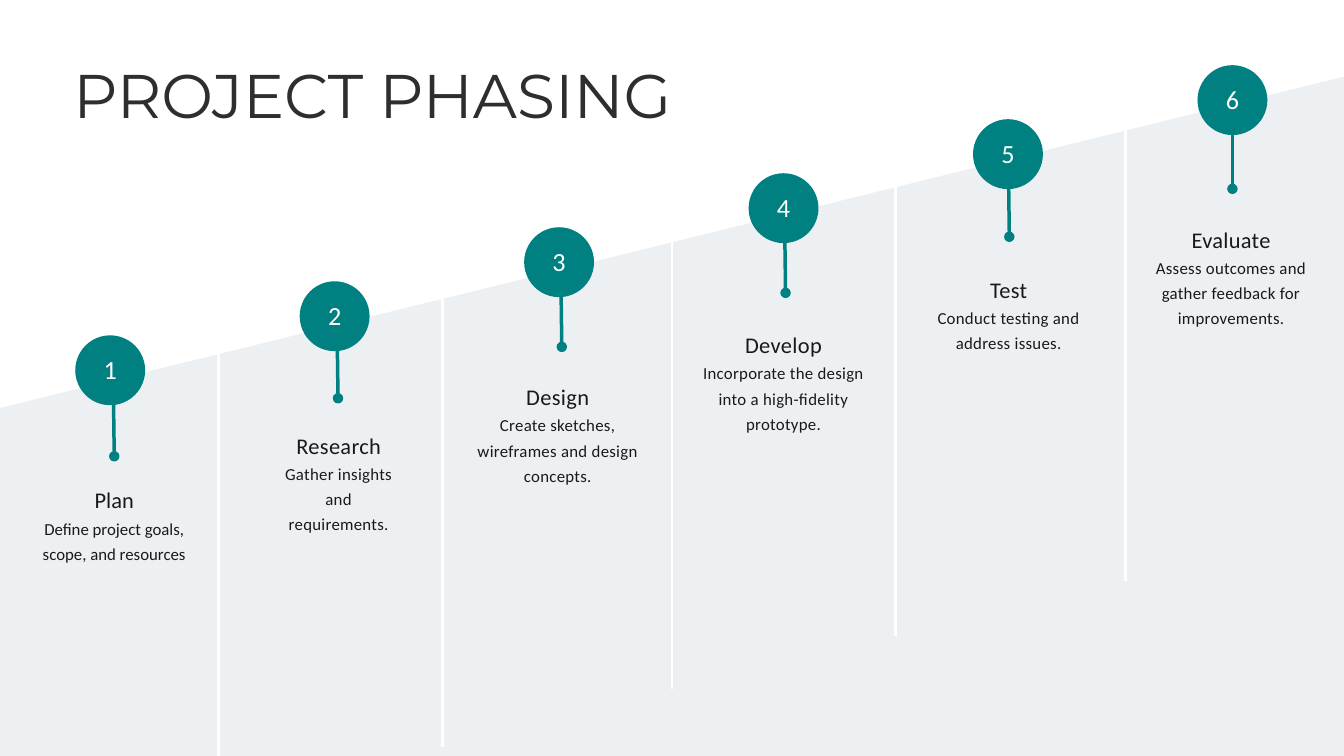
from dataclasses import dataclass

from lxml import etree
from pptx import Presentation
from pptx.dml.color import RGBColor
from pptx.enum import shapes, text
from pptx.oxml import ns
from pptx.util import Inches, Pt


@dataclass(frozen=True)
class Theme:
    """Colours, fonts and type sizes of the deck."""
    panel: str = "EDF0F2"
    white: str = "FFFFFF"
    accent: str = "008080"
    title_ink: str = "2E2E2E"
    ink: str = "191919"
    title_font: str = "Montserrat"
    body_font: str = "Calibri"
    title_size: float = 66
    number_size: float = 28
    heading_size: float = 24
    body_size: float = 18


@dataclass(frozen=True)
class Box:
    """A rectangle in inches."""
    left: float
    top: float
    width: float
    height: float

    def lengths(self):
        """Return the four sides as slide lengths."""
        return [Inches(side) for side in (self.left, self.top, self.width, self.height)]


@dataclass(frozen=True)
class Phase:
    """Wording of a phase and its offsets from the phase badge."""
    name: str
    detail: str
    lines: int
    width: float
    shift: float
    drop: float
    stem_top: float
    stem_length: float
    heading_spacing: float
    detail_spacing: float


THEME = Theme()
SLIDE = Box(0, 0, 20, 11.25)
BADGE = 1.04
COLUMN_STEP = 3.34
RISE = 0.804
PHASES = [
    Phase("Plan", "Define project goals, scope, and resources",
          2, 2.9, 0.06, 2.1, 1.02, 0.78, 0, 0),
    Phase("Research", "Gather insights and requirements.",
          3, 1.82, 0.06, 2.09, 0.96, 0.78, 0.4, 0.3),
    Phase("Design", "Create sketches, wireframes and design concepts.",
          3, 2.87, -0.02, 2.17, 1.01, 0.77, 0.4, 0.3),
    Phase("Develop", "Incorporate the design into a high-fidelity prototype.",
          3, 2.7, 0, 2.2, 1.01, 0.77, 0.4, 0.3),
    Phase("Test", "Conduct testing and address issues.",
          2, 2.5, 0.01, 2.18, 0.97, 0.78, 0.3, 0.3),
    Phase("Evaluate", "Assess outcomes and gather feedback for improvements.",
          3, 2.94, -0.02, 2.24, 1.03, 0.81, 0.3, 0.3),
]
DIVIDERS = [(3.25, 4.98), (6.58, 4.39), (10, 3.52), (13.33, 2.74), (16.75, 1.91)]
DIVIDER_LENGTH = 6.73


def paint(shape, color):
    """Give a shape a flat fill with no outline or shadow."""
    shape.fill.solid()
    shape.fill.fore_color.rgb = RGBColor.from_string(color)
    shape.line.fill.background()
    shape.shadow.inherit = False


def write(para, words, *, size, color, leading, font=THEME.body_font,
          align=text.PP_ALIGN.CENTER):
    """Put one formatted run into a paragraph."""
    para.alignment = align
    para.line_spacing = Pt(leading)
    span = para.add_run()
    span.text = words
    span.font.size = Pt(size)
    span.font.name = font
    span.font.color.rgb = RGBColor.from_string(color)


def clear_margins(frame):
    """Remove the inner margins of a text frame."""
    frame.margin_left = frame.margin_top = frame.margin_right = frame.margin_bottom = 0


def add_line(page, start, end, color, weight, tail=None):
    """Draw a straight line, with an optional end mark."""
    line = page.shapes.add_connector(
        shapes.MSO_CONNECTOR.STRAIGHT, *[Inches(value) for value in (*start, *end)])
    line.line.color.rgb = RGBColor.from_string(color)
    line.line.width = Pt(weight)
    properties = line.element.find(ns.qn("p:spPr"))
    if tail:
        outline = properties.find(ns.qn("a:ln"))
        etree.SubElement(outline, ns.qn("a:tailEnd"), type=tail)
    etree.SubElement(properties, ns.qn("a:effectLst"))


def add_panel(page, box, columns):
    """Fill the box with a borderless table of equal columns."""
    frame = page.shapes.add_table(1, columns, *box.lengths())
    table = frame.table
    table.first_row = table.horz_banding = False
    table.rows[0].height = Inches(box.height)
    for column in table.columns:
        column.width = Inches(box.width / columns)
    for cell in table.iter_cells():
        cell.fill.solid()
        cell.fill.fore_color.rgb = RGBColor.from_string(THEME.panel)
    for properties in frame.element.iter(ns.qn("a:tcPr")):
        for index, side in enumerate(("lnL", "lnR", "lnT", "lnB")):
            border = etree.Element(ns.qn(f"a:{side}"), w="0")
            etree.SubElement(border, ns.qn("a:noFill"))
            properties.insert(index, border)


def add_slope(page, box, left_depth, right_depth):
    """Cover the top of the box with a white sloping wedge."""
    right = box.left + box.width
    corners = [(box.left, box.top), (right, box.top),
               (right, box.top + right_depth), (box.left, box.top + left_depth)]
    points = [(Inches(x), Inches(y)) for x, y in corners]
    builder = page.shapes.build_freeform(*points[0])
    builder.add_line_segments(points[1:], close=True)
    paint(builder.convert_to_shape(), THEME.white)


def add_title(page, box, words):
    """Place the title placeholder in the box, in front of the background."""
    title = page.shapes.title
    title.left, title.top, title.width, title.height = box.lengths()
    title.element.getparent().append(title.element)
    frame = title.text_frame
    clear_margins(frame)
    frame.word_wrap = True
    frame.vertical_anchor = text.MSO_ANCHOR.TOP
    frame.auto_size = text.MSO_AUTO_SIZE.SHAPE_TO_FIT_TEXT
    write(frame.paragraphs[0], words, size=THEME.title_size, color=THEME.title_ink,
          leading=69.3, font=THEME.title_font, align=text.PP_ALIGN.LEFT)


def add_badge(page, box, number):
    """Draw a numbered circle filling the box."""
    badge = page.shapes.add_shape(shapes.MSO_SHAPE.OVAL, *box.lengths())
    paint(badge, THEME.accent)
    frame = badge.text_frame
    clear_margins(frame)
    frame.margin_bottom = Inches(0.1)
    frame.vertical_anchor = text.MSO_ANCHOR.MIDDLE
    write(frame.paragraphs[0], str(number), size=THEME.number_size,
          color=THEME.white, leading=39.2)


def add_caption(page, box, phase):
    """Write the name and detail of a phase in the box."""
    caption = page.shapes.add_textbox(*box.lengths())
    frame = caption.text_frame
    frame.word_wrap = True
    frame.auto_size = text.MSO_AUTO_SIZE.SHAPE_TO_FIT_TEXT
    write(frame.paragraphs[0], phase.name, size=THEME.heading_size,
          color=THEME.ink, leading=36)
    write(frame.add_paragraph(), phase.detail, size=THEME.body_size,
          color=THEME.ink, leading=27)
    spacings = (phase.heading_spacing, phase.detail_spacing)
    for properties, spacing in zip(caption.element.iter(ns.qn("a:rPr")), spacings):
        properties.set("spc", str(round(spacing * 100)))


def add_phase(page, box, number, phase):
    """Place badge, stem and caption relative to the badge box."""
    add_badge(page, box, number)
    center = box.left + box.width / 2
    stem_x = center + (len(PHASES) - number) * 0.01
    stem_y = box.top + phase.stem_top
    lean = 0.01 if number < len(PHASES) else 0
    add_line(page, (stem_x, stem_y), (stem_x + lean, stem_y + phase.stem_length),
             THEME.accent, 3.75, tail="oval")
    add_caption(page, Box(center + phase.shift - phase.width / 2, box.top + phase.drop,
                          phase.width, 0.58 + 0.375 * phase.lines), phase)


def main():
    """Build the project phasing slide."""
    deck = Presentation()
    deck.slide_width, deck.slide_height = Inches(SLIDE.width), Inches(SLIDE.height)
    page = deck.slides.add_slide(deck.slide_layouts.get_by_name("Title Only"))
    add_panel(page, SLIDE, len(PHASES))
    add_slope(page, SLIDE, 6.07, 1.14)
    add_title(page, Box(1.09, 0.99, 10.98, 1), "PROJECT PHASING")
    for x, y in DIVIDERS:
        add_line(page, (x, y), (x, min(y + DIVIDER_LENGTH, SLIDE.height)), THEME.white, 3)
    for index, phase in enumerate(PHASES):
        badge = Box(1.12 + COLUMN_STEP * index, 4.99 - RISE * index, BADGE, BADGE)
        add_phase(page, badge, index + 1, phase)
    deck.save("out.pptx")


if __name__ == "__main__":
    main()
